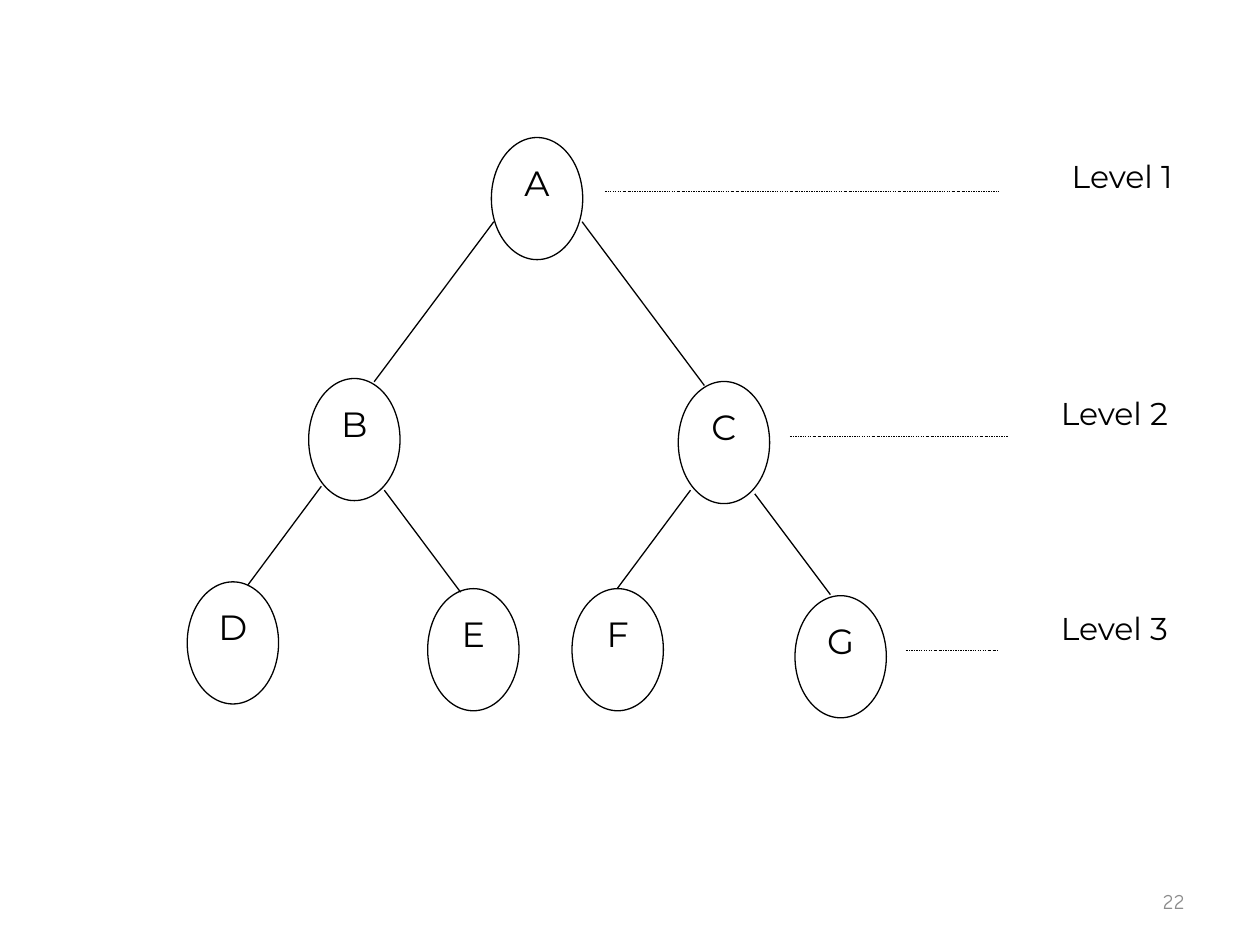
from dataclasses import dataclass

from lxml.etree import SubElement
from pptx import Presentation
from pptx.dml.color import RGBColor
from pptx.enum.dml import MSO_LINE_DASH_STYLE as Dash
from pptx.enum.shapes import MSO_CONNECTOR as Connector, MSO_SHAPE as Preset
from pptx.enum.text import MSO_ANCHOR as Anchor, PP_ALIGN as Align
from pptx.oxml.ns import qn
from pptx.util import Pt


@dataclass(frozen=True)
class Theme:
    ink: RGBColor = RGBColor(0, 0, 0)
    muted: RGBColor = RGBColor(0x8C, 0x8C, 0x8C)
    font: str = "Montserrat"
    number_font: str = "Comic Neue"
    node_size: float = 20
    level_size: float = 18
    number_size: float = 12
    edge_width: float = 0.75
    guide_width: float = 0.25


@dataclass(frozen=True)
class Node:
    name: str
    left: float
    top: float


@dataclass(frozen=True)
class Line:
    x1: float
    y1: float
    x2: float
    y2: float


@dataclass(frozen=True)
class Level:
    text: str
    left: float
    top: float
    guide: Line


THEME = Theme()
NODE_WIDTH, NODE_HEIGHT = 52.2, 69.8
LEVEL_WIDTH, LEVEL_HEIGHT = 104.4, 46.8

NODES = [
    Node("A", 280.8, 78.6),
    Node("B", 176.4, 216.3),
    Node("C", 387.6, 218),
    Node("D", 107, 332.5),
    Node("E", 244.4, 336.4),
    Node("F", 326.9, 336.4),
    Node("G", 454.3, 340.4),
]
EDGES = [
    Line(213.8, 218.2, 282.2, 126.7),
    Line(332.6, 126.7, 402.5, 220.3),
    Line(141.8, 334.1, 183.6, 277.9),
    Line(219.6, 280.1, 263.2, 338.4),
    Line(352.8, 336.2, 394.6, 280.1),
    Line(431.3, 282.2, 474.5, 339.8),
]
LEVELS = [
    Level("Level 1", 589, 86.4, Line(345.6, 109.4, 571.7, 109.4)),
    Level("Level 2", 584.6, 221.8, Line(451.4, 249.1, 576, 249.1)),
    Level("Level 3", 584.6, 344.2, Line(517.7, 371.5, 570.2, 371.5)),
]


def write(frame, text: str, *, size: float, font: str = THEME.font,
          color: RGBColor = THEME.ink, align=Align.CENTER, anchor=Anchor.TOP) -> None:
    frame.word_wrap = True
    frame.vertical_anchor = anchor
    para = frame.paragraphs[0]
    para.alignment = align
    span = para.add_run()
    span.text = text
    span.font.name = font
    span.font.size = Pt(size)
    span.font.color.rgb = color


def draw_line(page, line: Line, width: float, dash=None) -> None:
    ends = (Pt(value) for value in (line.x1, line.y1, line.x2, line.y2))
    connector = page.shapes.add_connector(Connector.STRAIGHT, *ends)
    connector.line.color.rgb = THEME.ink
    connector.line.width = Pt(width)
    if dash is not None:
        connector.line.dash_style = dash
    SubElement(connector._element.spPr, qn("a:effectLst"))


def draw_node(page, node: Node) -> None:
    oval = page.shapes.add_shape(
        Preset.OVAL, Pt(node.left), Pt(node.top), Pt(NODE_WIDTH), Pt(NODE_HEIGHT))
    oval.shadow.inherit = False
    oval.fill.background()
    oval.line.color.rgb = THEME.ink
    oval.line.width = Pt(THEME.edge_width)
    oval.text_frame.margin_left = oval.text_frame.margin_right = Pt(0)
    write(oval.text_frame, node.name, size=THEME.node_size)


def draw_level(page, level: Level) -> None:
    draw_line(page, level.guide, THEME.guide_width, Dash.DASH_DOT)
    box = page.shapes.add_textbox(
        Pt(level.left), Pt(level.top), Pt(LEVEL_WIDTH), Pt(LEVEL_HEIGHT))
    write(box.text_frame, level.text, size=THEME.level_size)


def draw_page_number(page, number: str) -> None:
    box = page.shapes.add_textbox(Pt(516.2), Pt(500.4), Pt(167.8), Pt(28.8))
    write(box.text_frame, number, size=THEME.number_size, font=THEME.number_font,
          color=THEME.muted, align=Align.RIGHT, anchor=Anchor.MIDDLE)


def main() -> None:
    deck = Presentation()
    deck.slide_width, deck.slide_height = Pt(720), Pt(540)
    page = deck.slides.add_slide(deck.slide_layouts.get_by_name("Blank"))
    for edge in EDGES:
        draw_line(page, edge, THEME.edge_width)
    for node in NODES:
        draw_node(page, node)
    for level in LEVELS:
        draw_level(page, level)
    draw_page_number(page, "22")
    deck.save("out.pptx")


if __name__ == "__main__":
    main()
